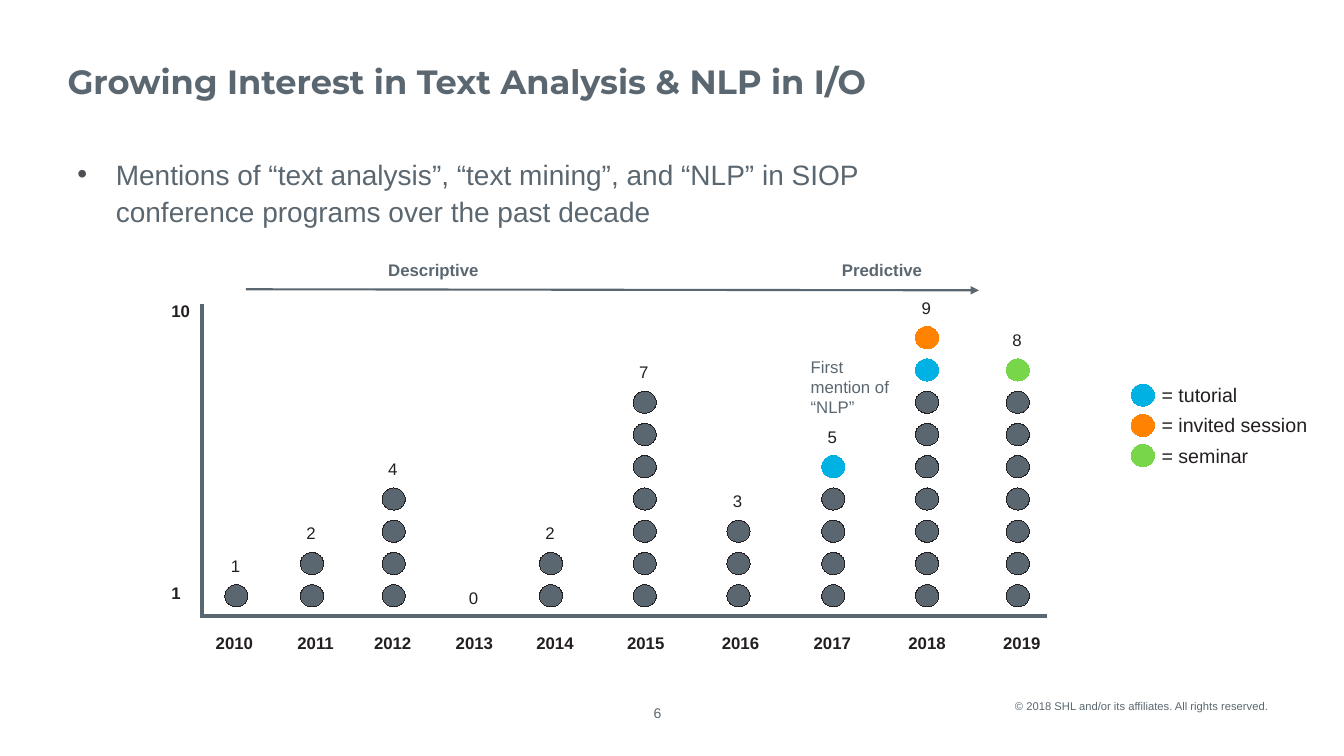
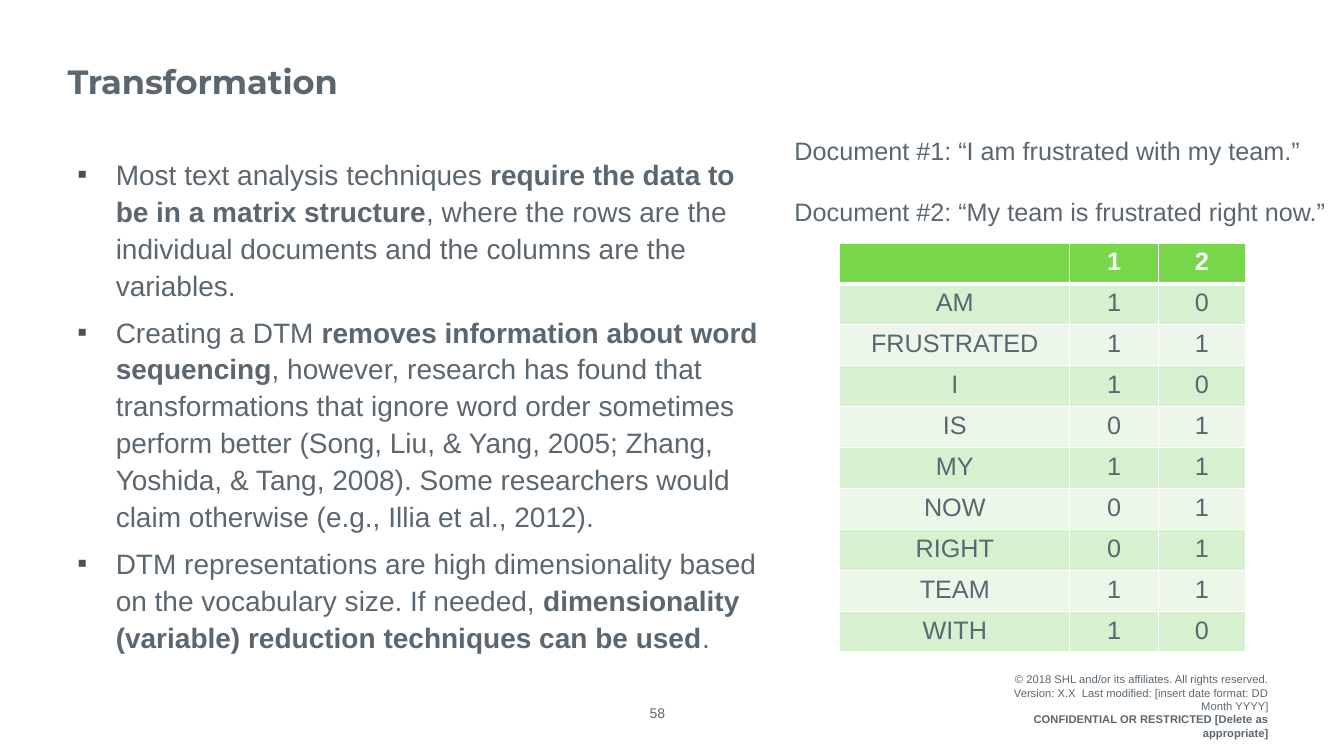
from lxml.etree import SubElement
from pptx import Presentation
from pptx.dml.color import RGBColor
from pptx.enum.shapes import MSO_CONNECTOR, MSO_SHAPE
from pptx.enum.text import MSO_ANCHOR, PP_ALIGN
from pptx.oxml import parse_xml
from pptx.oxml.ns import nsdecls, qn
from pptx.util import Inches, Pt

SLATE = RGBColor(0x5B, 0x67, 0x70)
INK = RGBColor(0x23, 0x1F, 0x20)
BULLET = RGBColor(0x4D, 0x4F, 0x53)
BLUE = RGBColor(0x00, 0xB2, 0xE3)
ORANGE = RGBColor(0xFF, 0x83, 0x00)
GREEN = RGBColor(0x78, 0xD6, 0x4B)
MINT = RGBColor(0xD6, 0xF0, 0xD0)
PALE = RGBColor(0xEC, 0xF7, 0xE9)
WHITE = RGBColor(0xFF, 0xFF, 0xFF)

TITLE = {"name": "Montserrat", "size": Pt(24), "bold": True}
BODY = {"name": "Arial", "size": Pt(20)}
QUOTE = {"name": "Arial", "size": Pt(18)}
KEY = {"name": "Arial", "size": Pt(14)}
LABEL = {"name": "Arial", "size": Pt(12)}
STRONG = {**LABEL, "bold": True}
PAGE = {"name": "Arial", "size": Pt(10)}
SMALL = {"name": "Arial", "size": Pt(8)}

DOT_W, DOT_H, PITCH = 0.23, 0.22, 0.32

# year, label left, dot left, dot count, colours of the topmost dots
YEARS = [
    ("2010", 0.14, 0.23, 1, []),
    ("2011", 0.95, 0.98, 2, []),
    ("2012", 1.71, 1.79, 4, []),
    ("2013", 2.52, 2.59, 0, []),
    ("2014", 3.32, 3.35, 2, []),
    ("2015", 4.22, 4.28, 7, []),
    ("2016", 5.16, 5.21, 3, []),
    ("2017", 6.07, 6.15, 5, [BLUE]),
    ("2018", 7.01, 7.08, 9, [BLUE, ORANGE]),
    ("2019", 7.95, 7.98, 8, [GREEN]),
]
KEYS = [(BLUE, "= tutorial"), (ORANGE, "= invited session"), (GREEN, "= seminar")]

MENTIONS = [["Mentions of “text analysis”, “text mining”, and “NLP” in SIOP "
             "conference programs over the past decade"]]
# Every second run is bold.
MATRIX = [
    ["Most text analysis techniques ",
     "require the data to be in a matrix structure",
     ", where the rows are the individual documents and the columns are the "
     "variables."],
    ["Creating a DTM ", "removes information about word sequencing",
     ", however, research has found that transformations that ignore word order "
     "sometimes perform better (Song, Liu, & Yang, 2005; Zhang, Yoshida, & Tang, "
     "2008). Some researchers would claim otherwise (e.g., Illia et al., 2012)."],
    ["DTM representations are high dimensionality based on the vocabulary size. "
     "If needed, ",
     "dimensionality (variable) reduction techniques can be used", "."],
]
TERMS = [
    ("", "1", "2"), ("AM", "1", "0"), ("FRUSTRATED", "1", "1"), ("I", "1", "0"),
    ("IS", "0", "1"), ("MY", "1", "1"), ("NOW", "0", "1"), ("RIGHT", "0", "1"),
    ("TEAM", "1", "1"), ("WITH", "1", "0"),
]
RIGHTS = ["© 2018 SHL and/or its affiliates. All rights reserved."]
DRAFT = ["Version: X.X  Last modified: [insert date format: DD Month YYYY]",
         "CONFIDENTIAL OR RESTRICTED [Delete as appropriate]"]


def apply(item, values):
    for name, value in values.items():
        setattr(item, name, value)


def add_run(par, text, font, color):
    run = par.add_run()
    run.text = text
    apply(run.font, font)
    run.font.color.rgb = color


def add_box(slide, box, pads=(0, 0, 0, 0), anchor=MSO_ANCHOR.TOP):
    frame = slide.shapes.add_textbox(*map(Inches, box)).text_frame
    sides = ("margin_left", "margin_top", "margin_right", "margin_bottom")
    apply(frame, dict(zip(sides, map(Inches, pads))))
    apply(frame, {"word_wrap": True, "vertical_anchor": anchor})
    return frame


def add_pars(frame, count):
    """Yield the first paragraph of a frame, then new ones."""
    for i in range(count):
        yield frame.add_paragraph() if i else frame.paragraphs[0]


def write(slide, box, text, font=LABEL, color=INK):
    par = add_box(slide, box).paragraphs[0]
    add_run(par, text, font, color)
    return par


def add_line(slide, start, end, width, arrow=False):
    ends = map(Inches, (*start, *end))
    link = slide.shapes.add_connector(MSO_CONNECTOR.STRAIGHT, *ends)
    link.line.color.rgb = SLATE
    link.line.width = Pt(width)
    if arrow:
        SubElement(link.line._get_or_add_ln(), qn("a:tailEnd"), type="triangle")
    SubElement(link._element.spPr, qn("a:effectLst"))


def add_dot(slide, x, y, color):
    dot = slide.shapes.add_shape(
        MSO_SHAPE.OVAL, *map(Inches, (x, y, DOT_W, DOT_H)))
    dot.shadow.inherit = False
    dot.fill.solid()
    dot.fill.fore_color.rgb = color
    dot.line.color.rgb = INK if color == SLATE else color
    dot.line.width = Pt(0.01)


def add_frame(deck, title, page, notes):
    """Make a slide with its title, page number and footer."""
    slide = deck.slides.add_slide(deck.slide_layouts[6])
    par = write(slide, (6.26, 7.03, 0.52, 0.15), page, PAGE, SLATE)
    apply(par, {"alignment": PP_ALIGN.CENTER, "line_spacing": Pt(9)})
    head = add_box(slide, (0.67, 0.4, 12, 0.65), (0, 0.05, 0.1, 0.05),
                   MSO_ANCHOR.BOTTOM)
    add_run(head.paragraphs[0], title, TITLE, SLATE)
    foot = add_box(slide, (3.14, 6.77, 9.54, 0.49), (6.87, 0.05, 0.1, 0.05),
                   MSO_ANCHOR.MIDDLE)
    for i, (par, note) in enumerate(zip(add_pars(foot, len(notes)), notes)):
        par.alignment = PP_ALIGN.RIGHT
        if i == 0:
            par.line_spacing = Pt(8)
        add_run(par, note, {**SMALL, "bold": i == 2}, SLATE)
    return slide


def add_list(slide, box, items, mark):
    frame = add_box(slide, box, (0.1, 0.05, 0.1, 0.05))
    for i, (par, runs) in enumerate(zip(add_pars(frame, len(items)), items)):
        props = par._p.get_or_add_pPr()
        props.set("marL", str(Inches(0.38)))
        props.set("indent", str(-Inches(0.38)))
        tint = SubElement(props, qn("a:buClr"))
        SubElement(tint, qn("a:srgbClr"), val=str(BULLET))
        SubElement(props, qn("a:buFont"), typeface="Arial")
        SubElement(props, qn("a:buChar"), char=mark)
        apply(par, {"line_spacing": 1.1, "space_before": Pt(7 if i else 0)})
        for j, text in enumerate(runs):
            add_run(par, text, {**BODY, "bold": j % 2 == 1}, SLATE)


def add_plot(slide, x, y):
    """Draw the dot plot, with the top of its upright axis at x, y."""
    add_line(slide, (x, y + 3.11), (x, y), 3)
    add_line(slide, (x + 8.38, y + 3.09), (x - 0.01, y + 3.09), 3)
    for text, drop in (("10", -0.04), ("1", 2.76)):
        write(slide, (x - 0.3, y + drop, 0.94, 0.2), text, STRONG)
    for year, left, col, count, tops in YEARS:
        write(slide, (x + left, y + 3.26, 0.94, 0.2), year, STRONG)
        base = y + 2.78
        colors = [SLATE] * (count - len(tops)) + tops
        for i, color in enumerate(colors):
            add_dot(slide, x + col, base - i * PITCH, color)
        above = base - (count - 1) * PITCH - 0.29
        write(slide, (x + col + 0.06, above, 0.94, 0.2), str(count))
    write(slide, (x + 6.04, y + 0.52, 0.85, 0.61), "First mention of “NLP”",
          color=SLATE)
    add_line(slide, (x + 0.44, y - 0.15), (x + 7.71, y - 0.14), 1.5, arrow=True)
    for text, left in (("Descriptive", 1.85), ("Predictive", 6.35)):
        write(slide, (x + left, y - 0.44, 1.45, 0.2), text, STRONG, SLATE)


def add_key(slide, x, y):
    for i, (color, text) in enumerate(KEYS):
        top = y + i * 0.3
        add_dot(slide, x, top, color)
        write(slide, (x + 0.3, top - 0.01, 1.51, 0.24), text, KEY)


def add_edge(cell, side, width):
    edge = parse_xml(
        f'<a:{side} {nsdecls("a")} w="{Pt(width)}"><a:solidFill>'
        f'<a:srgbClr val="{WHITE}"/></a:solidFill></a:{side}>')
    cell._tc.get_or_add_tcPr().append(edge)


def add_terms(slide, box):
    """Draw the table of terms by document."""
    grid = slide.shapes.add_table(len(TERMS), 3, *map(Inches, box)).table
    for col, width in zip(grid.columns, (2.28, 0.88, 0.86)):
        col.width = Inches(width)
    for i, row in enumerate(TERMS):
        fill = MINT if i % 2 else PALE
        for j, text in enumerate(row):
            cell = grid.cell(i, j)
            widths = {"lnL": 1, "lnR": 1, "lnT": 3 if i == 1 else 1,
                      "lnB": 1 if i else 3}
            for side, width in widths.items():
                add_edge(cell, side, width)
            cell.fill.solid()
            cell.fill.fore_color.rgb = fill if i else GREEN
            par = cell.text_frame.paragraphs[0]
            par.alignment = PP_ALIGN.CENTER
            if text:
                add_run(par, text, {**QUOTE, "bold": i == 0},
                        SLATE if i else WHITE)


def add_quotes(slide, box):
    quotes = ["Document #1: “I am frustrated with my team.”",
              "Document #2: “My team is frustrated right now.”"]
    frame = add_box(slide, box)
    for i, (par, text) in enumerate(zip(add_pars(frame, 2), quotes)):
        par.space_before = Pt(22 * i)
        add_run(par, text, QUOTE, SLATE)


def main():
    deck = Presentation()
    apply(deck, {"slide_width": Inches(13.33), "slide_height": Inches(7.5)})

    trend = add_frame(deck, "Growing Interest in Text Analysis & NLP in I/O",
                      "6", RIGHTS)
    add_list(trend, (0.67, 1.48, 8.72, 0.94), MENTIONS, "•")
    add_plot(trend, 2, 3.02)
    add_key(trend, 11.22, 3.81)

    shift = add_frame(deck, "Transformation", "58", RIGHTS + DRAFT)
    add_list(shift, (0.67, 1.48, 6.97, 4.53), MATRIX, "▪")
    add_terms(shift, (8.33, 2.41, 4.02, 4.06))
    add_quotes(shift, (7.88, 1.34, 5.46, 0.91))

    deck.save("out.pptx")


if __name__ == "__main__":
    main()
